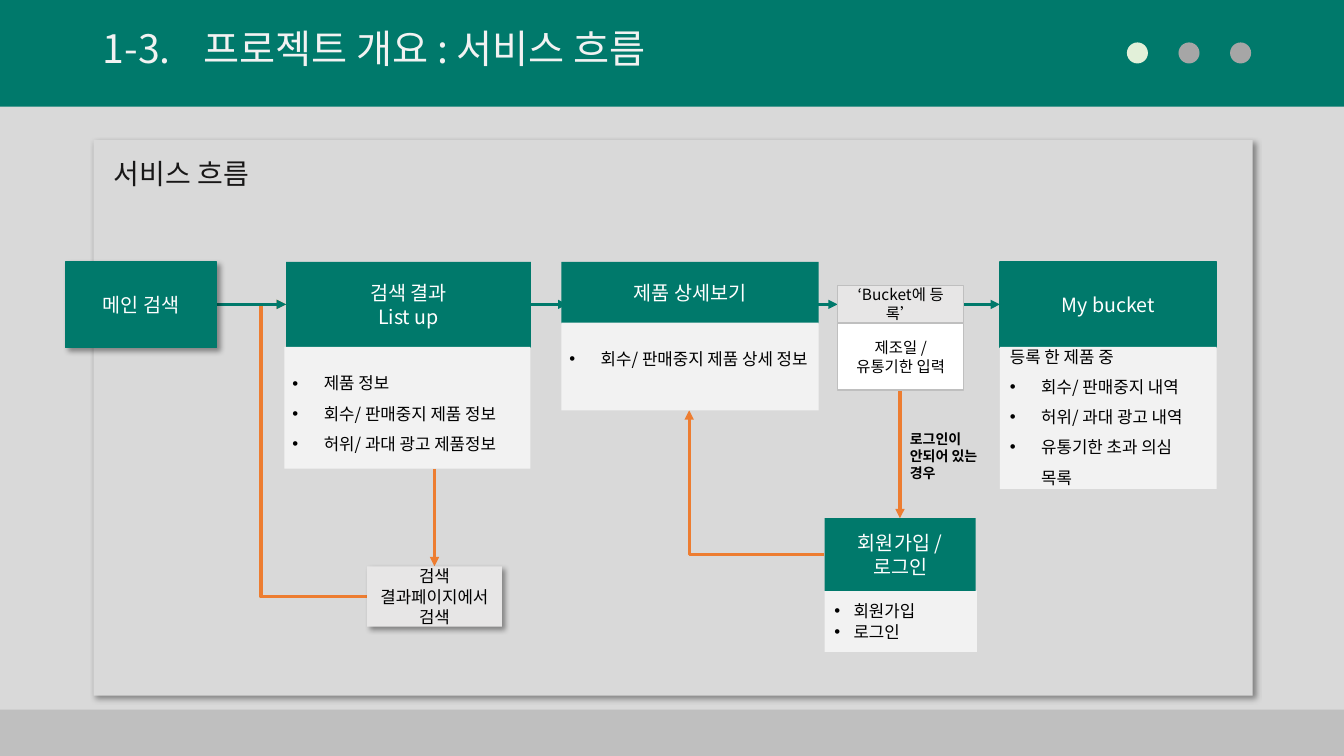
from lxml.etree import SubElement
from pptx import Presentation
from pptx.dml.color import RGBColor
from pptx.enum.shapes import MSO_CONNECTOR, MSO_SHAPE
from pptx.enum.text import MSO_ANCHOR, PP_ALIGN
from pptx.oxml.ns import qn
from pptx.util import Cm, Pt

FONT = "Noto Sans CJK KR"
GREEN = RGBColor(0x00, 0x79, 0x6B)
ORANGE = RGBColor(0xED, 0x7D, 0x31)
BACKGROUND = RGBColor(0xD9, 0xD9, 0xD9)
FOOTER_GRAY = RGBColor(0xBF, 0xBF, 0xBF)
DOT_GRAY = RGBColor(0xA6, 0xA6, 0xA6)
DOT_LIGHT = RGBColor(0xE2, 0xF0, 0xD9)
STEP_GRAY = RGBColor(0xE7, 0xE6, 0xE6)
PALE = RGBColor(0xF2, 0xF2, 0xF2)
WHITE = RGBColor(0xFF, 0xFF, 0xFF)
BLACK = RGBColor(0x00, 0x00, 0x00)
INK = RGBColor(0x18, 0x17, 0x17)

FLOW_Y = 7.67
HEAD_TOP, HEAD_HEIGHT = 6.6, 2.16
BODY_TOP = 8.74
DEFAULT_INSETS = (0.25, 0.13, 0.25, 0.13)
LIST_INSETS = (0.2, 0.41, 0.2, 0.13)


def add_box(page, place, fill, line=None, shadow=False, kind=MSO_SHAPE.RECTANGLE):
    """Add a filled shape; place is left, top, width, height in centimetres."""
    box = page.shapes.add_shape(kind, *map(Cm, place))
    box.fill.solid()
    box.fill.fore_color.rgb = fill
    if line is None:
        box.line.fill.background()
    else:
        box.line.color.rgb = line
        box.line.width = Pt(1)
    box.shadow.inherit = False
    if shadow:
        effects = box._element.spPr.find(qn("a:effectLst"))
        outer = SubElement(effects, qn("a:outerShdw"), blurRad=str(Pt(4)), dist=str(Pt(3)),
                           dir="2700000", algn="tl", rotWithShape="0")
        color = SubElement(outer, qn("a:prstClr"), val="black")
        SubElement(color, qn("a:alpha"), val="40000")
    return box


def set_bullet(para, indent):
    properties = para._p.get_or_add_pPr()
    properties.set("marL", str(Cm(indent)))
    properties.set("indent", str(-Cm(indent)))
    SubElement(properties, qn("a:buFont"), typeface="Arial")
    SubElement(properties, qn("a:buChar"), char="•")


def write(box, lines, size, color, align=PP_ALIGN.LEFT, anchor=MSO_ANCHOR.MIDDLE,
          insets=DEFAULT_INSETS, spacing=None, indent=None, plain_lines=0,
          bold=False, wrap=True):
    """Fill a box, one paragraph a line; with an indent, lines after plain_lines get bullets."""
    frame = box.text_frame
    frame.word_wrap = wrap
    frame.vertical_anchor = anchor
    (frame.margin_left, frame.margin_top,
     frame.margin_right, frame.margin_bottom) = map(Cm, insets)
    for number, line in enumerate(lines):
        para = frame.add_paragraph() if number else frame.paragraphs[0]
        if indent and number >= plain_lines:
            set_bullet(para, indent)
        para.alignment = align
        if spacing:
            para.line_spacing = spacing
        span = para.add_run()
        span.text = line
        span.font.size = Pt(size)
        span.font.bold = bold
        span.font.color.rgb = color
        span.font.name = FONT
        SubElement(span._r.get_or_add_rPr(), qn("a:ea"), typeface=FONT)


def add_step(page, place, lines, fill=GREEN, color=WHITE, size=14, line=None, shadow=False):
    box = add_box(page, place, fill, line, shadow)
    write(box, lines, size, color, PP_ALIGN.CENTER)


def add_details(page, place, lines, indent=0.79, spacing=1.5, **layout):
    box = add_box(page, place, PALE)
    write(box, lines, 12, BLACK, indent=indent, spacing=spacing, **layout)


def add_arrow(page, start, end, color, bend=None, adjust=None):
    """Join two points with an arrow; bend names an elbow preset."""
    kind = MSO_CONNECTOR.ELBOW if bend else MSO_CONNECTOR.STRAIGHT
    arrow = page.shapes.add_connector(kind, *map(Cm, start + end))
    arrow.line.color.rgb = color
    arrow.line.width = Pt(2.25)
    properties = arrow._element.spPr
    SubElement(arrow.line._get_or_add_ln(), qn("a:tailEnd"), type="triangle")
    SubElement(properties, qn("a:effectLst"))
    if bend:
        geometry = properties.find(qn("a:prstGeom"))
        geometry.set("prst", bend)
        if adjust:
            guides = geometry.find(qn("a:avLst"))
            SubElement(guides, qn("a:gd"), name="adj1", fmla=f"val {adjust}")


def add_frame(page):
    """Add the bands, the panel, the title and the progress dots."""
    page.background.fill.solid()
    page.background.fill.fore_color.rgb = BACKGROUND
    add_box(page, (0, 17.88, 33.87, 1.17), FOOTER_GRAY)
    add_box(page, (0, 0, 33.87, 2.69), GREEN)
    panel = add_box(page, (2.36, 3.53, 29.21, 14), BACKGROUND, shadow=True)
    write(panel, ["서비스 흐름"], 20, INK, anchor=MSO_ANCHOR.TOP,
          insets=(0.51,) * 4, spacing=0.9)
    title = page.shapes.add_textbox(Cm(2.34), Cm(0.61), Cm(29.21), Cm(1.55))
    write(title, ["1-3.\t프로젝트 개요 : 서비스 흐름"], 28, PALE,
          anchor=MSO_ANCHOR.TOP, spacing=0.9)
    for number, color in enumerate((DOT_LIGHT, DOT_GRAY, DOT_GRAY)):
        add_box(page, (28.4 + 1.3 * number, 1.07, 0.53, 0.53), color, kind=MSO_SHAPE.OVAL)


def add_arrows(page):
    add_arrow(page, (9.25, 15.04), (7.21, FLOW_Y), ORANGE, "bentConnector3", 131000)
    add_arrow(page, (20.78, 13.97), (17.37, 10.34), ORANGE, "bentConnector2")
    for left, right in ((5.46, 7.21), (13.38, 14.3), (20.35, 21.11), (24.28, 25.2)):
        add_arrow(page, (left, FLOW_Y), (right, FLOW_Y), GREEN)
    for x, top, bottom in ((10.95, 11.81, 14.27), (22.68, 9.81, 13.06)):
        add_arrow(page, (x, top), (x, bottom), ORANGE)


def add_steps(page):
    add_step(page, (1.65, HEAD_TOP, 3.81, HEAD_HEIGHT), ["메인 검색"],
             line=GREEN, shadow=True)

    add_step(page, (7.21, HEAD_TOP, 6.17, HEAD_HEIGHT), ["검색 결과", "List up"])
    add_details(page, (7.17, BODY_TOP, 6.2, 3.07),
                ["제품 정보", "회수/ 판매중지 제품 정보", "허위/ 과대 광고 제품정보"],
                anchor=MSO_ANCHOR.TOP, insets=LIST_INSETS)
    add_step(page, (9.25, 14.27, 3.4, 1.52), ["검색 결과페이지에서 검색"],
             STEP_GRAY, BLACK, 12, shadow=True)

    add_step(page, (14.15, HEAD_TOP, 6.48, 1.55), ["제품 상세보기"])
    add_details(page, (14.15, 8.13, 6.48, 2.21), ["회수/ 판매중지 제품 상세 정보"],
                anchor=MSO_ANCHOR.TOP, insets=LIST_INSETS)

    add_step(page, (21.11, 7.19, 3.18, 0.94), ["‘Bucket에 등록’"],
             STEP_GRAY, BLACK, 11, FOOTER_GRAY)
    add_step(page, (21.11, 8.15, 3.18, 1.68), ["제조일 /", "유통기한 입력"],
             WHITE, BLACK, 11, FOOTER_GRAY)
    label = page.shapes.add_textbox(Cm(22.68), Cm(10.72), Cm(2.24), Cm(1.55))
    write(label, ["로그인이", "안되어 있는", "경우"], 10, BLACK,
          anchor=MSO_ANCHOR.TOP, bold=True, wrap=False)

    add_details(page, (20.78, 14.88, 3.84, 1.55), ["회원가입", "로그인"],
                indent=0.48, spacing=None)
    add_step(page, (20.78, 13.06, 3.81, 1.83), ["회원가입 /", "로그인"])

    add_step(page, (25.2, HEAD_TOP, 5.46, HEAD_HEIGHT), ["My bucket"], line=GREEN)
    add_details(page, (25.2, BODY_TOP, 5.46, 3.58),
                ["등록 한 제품 중", "회수/ 판매중지 내역", "허위/ 과대 광고 내역",
                 "유통기한 초과 의심 목록"],
                plain_lines=1, insets=(0.25, 0.13, 0.25, 0.43))


def main():
    deck = Presentation()
    deck.slide_width, deck.slide_height = Cm(33.87), Cm(19.05)
    page = deck.slides.add_slide(deck.slide_layouts[6])
    add_frame(page)
    add_arrows(page)
    add_steps(page)
    deck.save("out.pptx")


if __name__ == "__main__":
    main()
